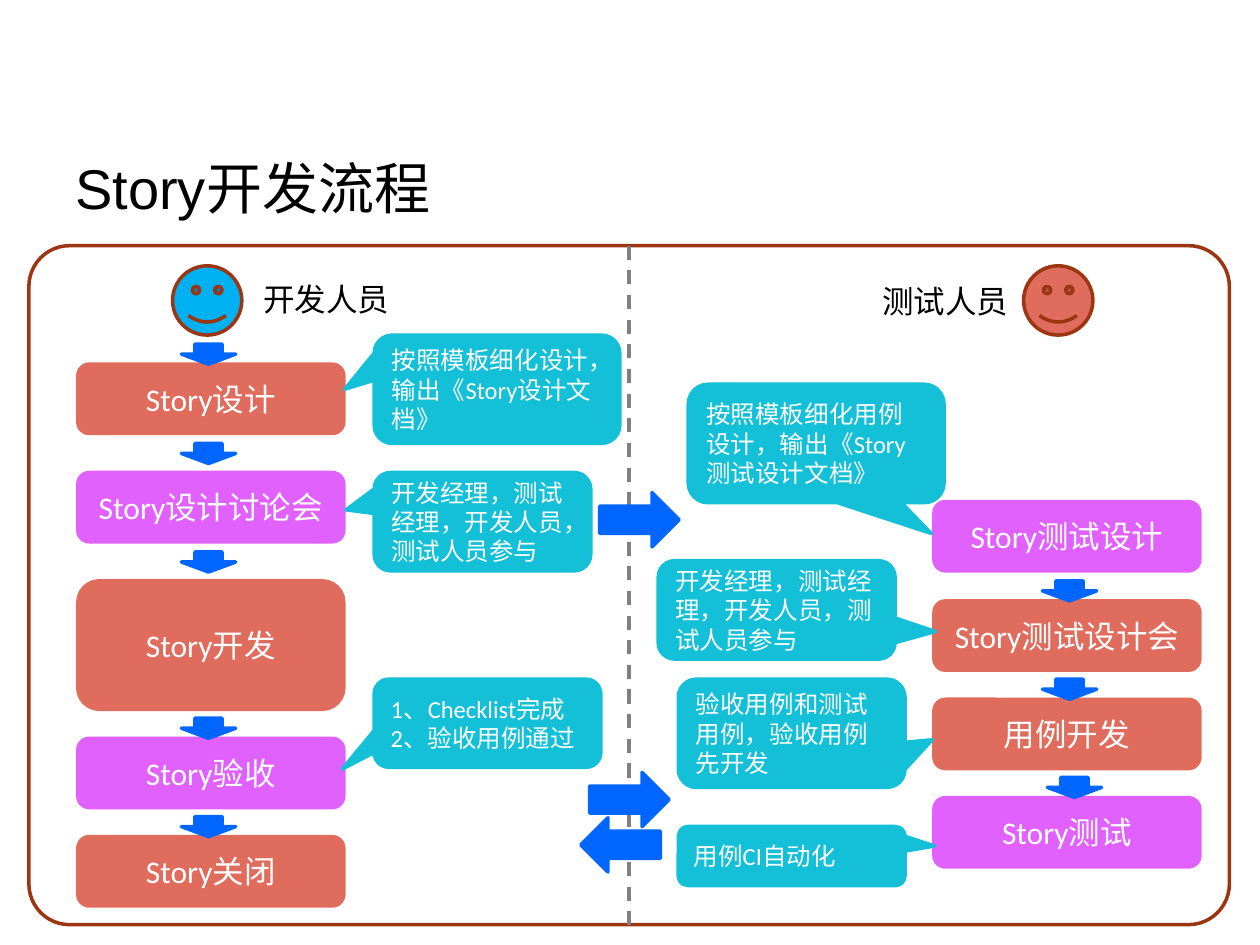
from lxml.etree import SubElement
from pptx import Presentation
from pptx.dml.color import RGBColor
from pptx.enum.dml import MSO_LINE
from pptx.enum.shapes import MSO_CONNECTOR, MSO_SHAPE
from pptx.enum.text import MSO_ANCHOR, PP_ALIGN
from pptx.oxml.ns import qn
from pptx.util import Pt

COLORS = {
    "black": "000000", "white": "FFFFFF", "frame": "9C3511", "divider": "808080",
    "coral": "DF6C5D", "violet": "E161FF", "sky": "00B0F0", "arrow": "0066FF",
    "callout": "13C0D7",
}
FRAME = (16.5, 140.4, 686, 388)
STEP_SIZE = (152, 39.6)
ARROW_SIZE = (31, 11.5)
FACE_SIZE = (39.6, 39.6)

DEVELOPER = {
    "face": (82.1, "sky"), "label": (126.8, 15.8, "开发人员"), "step_left": 28,
    "steps": [
        (67.7, 39.6, "coral", "Story设计"),
        (129.6, 39.6, "violet", "Story设计讨论会"),
        (191.5, 73.4, "coral", "Story开发"),
        (281.5, 39.6, "violet", "Story验收"),
        (337.7, 39.6, "coral", "Story关闭"),
    ],
    "arrows": [(87.2, top) for top in (56.2, 113, 175, 270, 326.2)],
    "callouts": [
        (197.3, 51.1, 140.4, 61.9, (-0.62, 0), "按照模板细化设计，输出《Story设计文档》"),
        (197.3, 129.6, 123.8, 56.2, (-0.63, -0.12), "开发经理，测试经理，开发人员，测试人员参与"),
        (197.3, 247.7, 129.6, 50.4, (-0.64, 0.52), "1、Checklist完成\n2、验收用例通过"),
    ],
}
TESTER = {
    "face": (225.4, "coral"), "label": (137.5, 17.3, "测试人员"), "step_left": 174.2,
    "steps": [
        (146.2, 39.6, "violet", "Story测试设计"),
        (203, 39.6, "coral", "Story测试设计会"),
        (259.2, 39.6, "coral", "用例开发"),
        (315.4, 39.6, "violet", "Story测试"),
    ],
    "arrows": [(236.2, 191.5), (236.2, 247.7), (239, 303.8)],
    "callouts": [
        (33.8, 79.2, 146.2, 67.7, (0.45, 0.76), "按照模板细化用例设计，输出《Story测试设计文档》"),
        (16.6, 180, 135.4, 56.2, (0.67, 0.22), "开发经理，测试经理，开发人员，测试人员参与"),
        (28.1, 247.7, 129.6, 61.9, (0.62, 0.06), "验收用例和测试用例，验收用例先开发"),
        (28.1, 331.9, 129.6, 33.8, (0.63, -0.17), "用例CI自动化"),
    ],
}
HANDOVERS = [(333.4, 133.9, 270), (322.6, 319.7, 90), (327.7, 293.8, 270)]


def color(name):
    """Return the named colour."""
    return RGBColor.from_string(COLORS[name])


def write(shape, text, size, tint, font="Calibri", align=PP_ALIGN.LEFT, wrap=True):
    """Set and format the text of a shape."""
    frame = shape.text_frame
    frame.text = text
    frame.word_wrap = wrap
    for para in frame.paragraphs:
        para.alignment = align
        for span in para.runs:
            span.font.size = Pt(size)
            span.font.name = font
            span.font.color.rgb = color(tint)


def add_block(page, kind, box, fill, line=None):
    """Add a preset shape with a two-point outline."""
    shape = page.shapes.add_shape(kind, *map(Pt, box))
    shape.shadow.inherit = False
    if fill:
        shape.fill.solid()
        shape.fill.fore_color.rgb = color(fill)
    else:
        shape.fill.background()
    shape.line.color.rgb = color(line or fill)
    shape.line.width = Pt(2)
    return shape


def add_title(page, box):
    """Add the slide title."""
    title = page.shapes.add_textbox(*map(Pt, box))
    write(title, "Story开发流程", 32, "black", "Arial")
    title.text_frame.vertical_anchor = MSO_ANCHOR.MIDDLE


def add_frame(page, box):
    """Add the rounded frame and its dashed divider."""
    left, top, width, height = box
    frame = add_block(page, MSO_SHAPE.ROUNDED_RECTANGLE, box, None, "frame")
    frame.adjustments[0] = 0.06
    middle = Pt(left + width / 2)
    divider = page.shapes.add_connector(
        MSO_CONNECTOR.STRAIGHT, middle, Pt(top), middle, Pt(top + height))
    divider.line.color.rgb = color("divider")
    divider.line.width = Pt(2)
    divider.line.dash_style = MSO_LINE.DASH
    SubElement(divider._element.spPr, qn("a:effectLst"))


def add_lane(page, box, lane):
    """Add one role's face, label, steps, arrows and callouts."""
    left, top = box[:2]
    face_left, face_fill = lane["face"]
    add_block(page, MSO_SHAPE.SMILEY_FACE,
              (left + face_left, top + 11.5, *FACE_SIZE), face_fill, "frame")
    label_left, label_top, role = lane["label"]
    label = page.shapes.add_textbox(
        Pt(left + label_left), Pt(top + label_top), Pt(87), Pt(29))
    write(label, role, 18, "black", wrap=False)

    for step_top, height, fill, text in lane["steps"]:
        step = add_block(page, MSO_SHAPE.ROUNDED_RECTANGLE,
                         (left + lane["step_left"], top + step_top, STEP_SIZE[0], height), fill)
        write(step, text, 18, "white", align=PP_ALIGN.CENTER)
    for arrow_left, arrow_top in lane["arrows"]:
        add_block(page, MSO_SHAPE.DOWN_ARROW,
                  (left + arrow_left, top + arrow_top, *ARROW_SIZE), "arrow")
    for note_left, note_top, width, height, tip, text in lane["callouts"]:
        note = add_block(page, MSO_SHAPE.ROUNDED_RECTANGULAR_CALLOUT,
                         (left + note_left, top + note_top, width, height), "callout")
        note.adjustments[0], note.adjustments[1] = tip
        write(note, text, 14, "white")


def add_handovers(page, box):
    """Add the large arrows that cross the divider."""
    for left, top, angle in HANDOVERS:
        arrow = add_block(page, MSO_SHAPE.DOWN_ARROW,
                          (box[0] + left, box[1] + top, 31, 45.4), "arrow")
        arrow.rotation = angle


def main():
    """Build the slide and save the deck."""
    deck = Presentation()
    deck.slide_width, deck.slide_height = Pt(720), Pt(540)
    page = deck.slides.add_slide(deck.slide_layouts[6])
    left, top, width, height = FRAME
    add_title(page, (36, 62, 648, 90))
    add_frame(page, FRAME)
    add_lane(page, (left, top, width / 2, height), DEVELOPER)
    add_lane(page, (left + width / 2, top, width / 2, height), TESTER)
    add_handovers(page, FRAME)
    deck.save("out.pptx")


if __name__ == "__main__":
    main()
